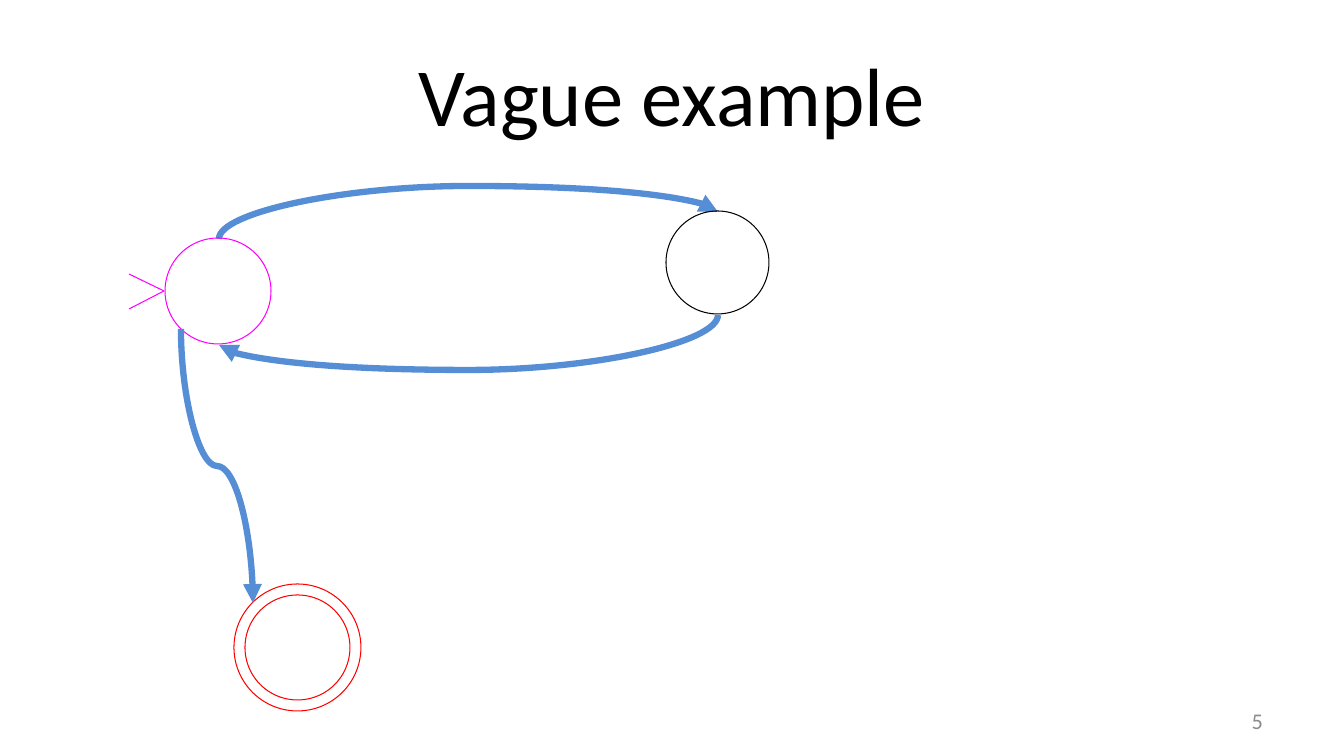
import pptx
import pptx.dml.color
import pptx.enum.shapes
import pptx.enum.text
import pptx.oxml.ns
import pptx.util
from lxml import etree

RGBColor = pptx.dml.color.RGBColor
Align = pptx.enum.text.PP_ALIGN
Connector = pptx.enum.shapes.MSO_CONNECTOR

BLACK = RGBColor(0x00, 0x00, 0x00)
GREY = RGBColor(0x8C, 0x8C, 0x8C)
BLUE = RGBColor(0x55, 0x8E, 0xD5)
MAGENTA = RGBColor(0xFF, 0x00, 0xFF)
RED = RGBColor(0xFF, 0x00, 0x00)


def emu(px):
    return pptx.util.Emu(round(px * 914400 / 100.8))


def add_xml(parent, tag, **attributes):
    return etree.SubElement(parent, pptx.oxml.ns.qn(tag), attributes)


def write_text(box, text, *, size, color, align, font="Calibri"):
    frame = box.text_frame
    frame.word_wrap = True
    frame.auto_size = pptx.enum.text.MSO_AUTO_SIZE.NONE
    frame.vertical_anchor = pptx.enum.text.MSO_ANCHOR.MIDDLE
    frame.margin_left = frame.margin_right = emu(13)
    frame.margin_top = frame.margin_bottom = emu(7)
    para = frame.paragraphs[0]
    para.alignment = align
    span = para.add_run()
    span.text = text
    span.font.name = font
    span.font.size = pptx.util.Pt(size)
    span.font.color.rgb = color


class AutomatonPage:
    """Draws states and transitions on one page."""

    thin, thick = 0.75, 4.5

    def __init__(self, deck):
        self.page = deck.slides.add_slide(deck.slide_layouts[5])
        self.shapes = self.page.shapes

    def title(self, text, left, top, width, height):
        box = self.shapes.title
        box.left, box.top = emu(left), emu(top)
        box.width, box.height = emu(width), emu(height)
        write_text(box, text, size=59, color=BLACK, align=Align.CENTER)

    def page_number(self, text, left, top, width, height):
        box = self.shapes.add_textbox(*map(emu, (left, top, width, height)))
        write_text(box, text, size=16, color=GREY, align=Align.RIGHT)

    def state(self, left, top, size, color):
        circle = self.shapes.add_shape(
            pptx.enum.shapes.MSO_SHAPE.OVAL, *map(emu, (left, top, size, size)))
        circle.shadow.inherit = False
        circle.fill.background()
        circle.line.color.rgb = color
        circle.line.width = pptx.util.Pt(self.thin)

    def line(self, start, end, color, width=thin, kind=Connector.STRAIGHT):
        line = self.shapes.add_connector(kind, *map(emu, (*start, *end)))
        line.line.color.rgb = color
        line.line.width = pptx.util.Pt(width)
        add_xml(line._element.spPr, "a:effectLst")
        return line

    def transition(self, start, end, bend):
        """Curve that leaves and arrives vertically, turning at height bend."""
        (x1, y1), (x2, y2) = start, end
        dx, dy = x2 - x1, y2 - y1
        mid_x, mid_y = (x1 + x2) / 2, (y1 + y2) / 2
        # The frame is laid out before a quarter turn about its centre.
        curve = self.line((mid_x - dy / 2, mid_y + dx / 2),
                          (mid_x + dy / 2, mid_y - dx / 2),
                          BLUE, self.thick, Connector.CURVE)
        properties = curve._element.spPr
        properties.find(pptx.oxml.ns.qn("a:xfrm")).set("rot", str(90 * 60000))
        guides = properties.find(pptx.oxml.ns.qn("a:prstGeom")).get_or_add_avLst()
        share = round((bend - y1) / dy * 100000)
        add_xml(guides, "a:gd", name="adj1", fmla=f"val {share}")
        add_xml(curve.line._get_or_add_ln(), "a:tailEnd", type="triangle")


def main():
    deck = pptx.Presentation()
    deck.slide_width, deck.slide_height = emu(1344), emu(756)

    page = AutomatonPage(deck)
    page.title("Vague example", 67, 30, 1210, 126)
    page.page_number("5", 963, 701, 313, 40)

    page.transition((219, 239), (718, 212), bend=186)
    page.state(666, 211, 103, BLACK)
    page.transition((718, 315), (219, 345), bend=370)

    page.state(165, 238, 106, MAGENTA)
    for start_mark_y in (274, 309):
        page.line((129, start_mark_y), (164, 291), MAGENTA)

    for inset in (0, 11):
        page.state(234 + inset, 584 + inset, 127 - 2 * inset, RED)
    page.transition((181, 329), (253, 603), bend=466)

    deck.save("out.pptx")


if __name__ == "__main__":
    main()
